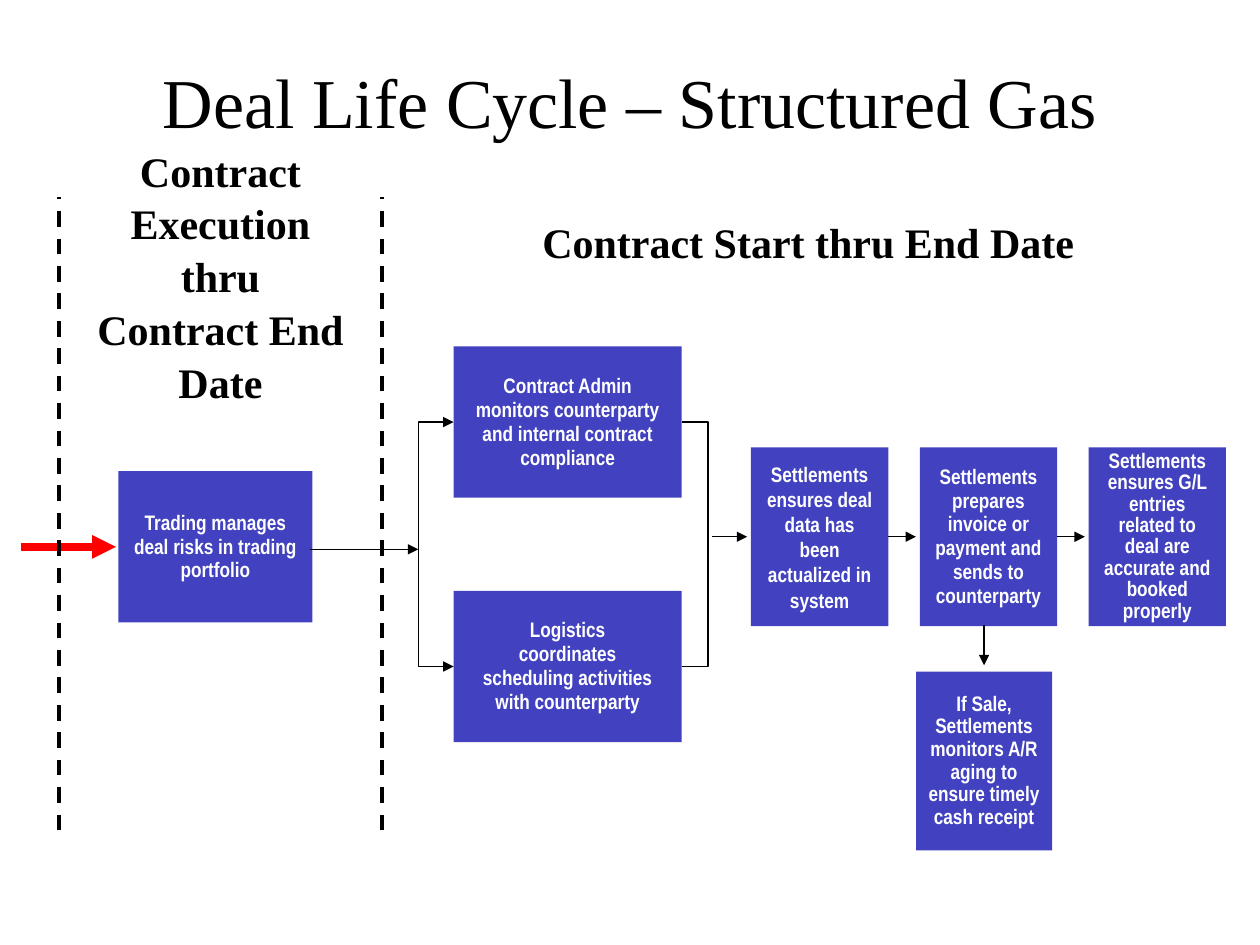
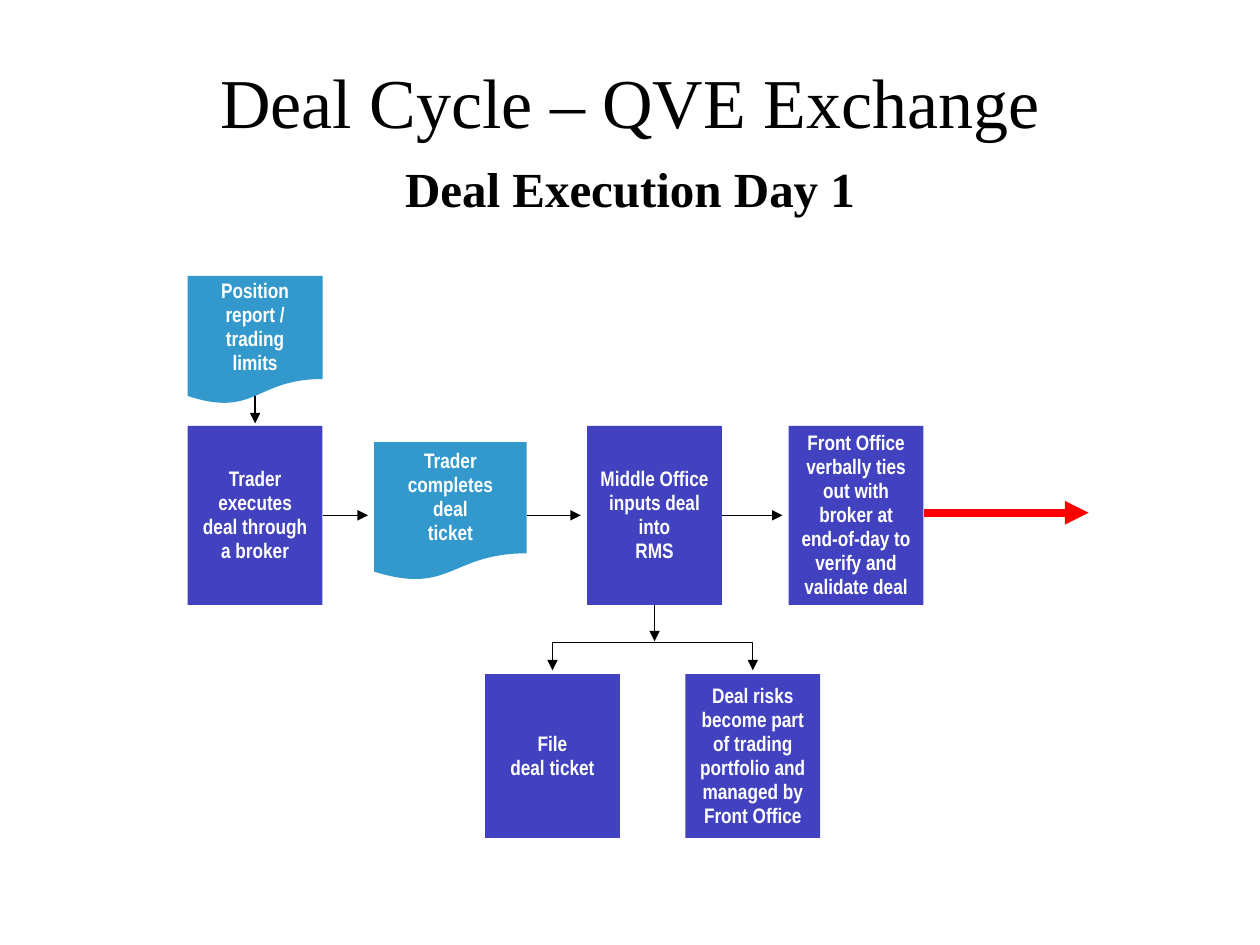
from copy import deepcopy
from dataclasses import dataclass

from lxml import etree
from pptx import Presentation
from pptx.dml.color import RGBColor
from pptx.enum.dml import MSO_LINE
from pptx.enum.shapes import MSO_CONNECTOR, MSO_SHAPE
from pptx.enum.text import MSO_ANCHOR, PP_ALIGN
from pptx.oxml.ns import qn
from pptx.util import Inches, Pt

RECTANGLE = MSO_SHAPE.RECTANGLE
DOCUMENT = MSO_SHAPE.FLOWCHART_DOCUMENT
STRAIGHT = MSO_CONNECTOR.STRAIGHT
DASH = MSO_LINE.DASH
MIDDLE = MSO_ANCHOR.MIDDLE
CENTER = PP_ALIGN.CENTER

SLIDE_WIDTH, SLIDE_HEIGHT = 10, 7.5
COLUMNS, ROWS = 100, 75
BLANK_LAYOUT = 6


@dataclass(frozen=True)
class Theme:
    ink: str = "000000"
    paper: str = "FFFFFF"
    process: str = "4242C0"
    document: str = "3399CC"
    flow: str = "FF0000"
    heading_font: str = "Times New Roman"
    step_font: str = "Arial Narrow"
    title_size: float = 40
    subtitle_size: float = 28
    phase_size: float = 24
    step_size: float = 12
    thin: float = 0.75
    divider: float = 2.25
    thick: float = 4.5
    text_inset: float = 0.09
    narrow_inset: float = 0.12


THEME = Theme()


@dataclass(frozen=True)
class Box:
    """A rectangle measured in grid columns and rows."""
    left: float
    top: float
    width: float
    height: float

    @property
    def right(self):
        return self.left + self.width

    @property
    def bottom(self):
        return self.top + self.height

    @property
    def center(self):
        return self.left + self.width / 2

    @property
    def middle(self):
        return self.top + self.height / 2

    def inner(self, left, top, width, height):
        return Box(self.left + left, self.top + top, width, height)

    def point(self, x, y):
        return self.left + x, self.top + y

    def emu(self):
        return (across(self.left), down(self.top),
                across(self.width), down(self.height))


def across(columns):
    return Inches(columns * SLIDE_WIDTH / COLUMNS)


def down(rows):
    return Inches(rows * SLIDE_HEIGHT / ROWS)


def color(value):
    return RGBColor.from_string(value)


def write(shape, text, font, size, ink, bold=True, spacing=1.0, inset=0.1):
    """Put one centred paragraph in the shape; newlines become line breaks."""
    frame = shape.text_frame
    frame.word_wrap = True
    frame.vertical_anchor = MIDDLE
    frame.margin_left = frame.margin_right = Inches(inset)
    frame.margin_top = frame.margin_bottom = 0
    paragraph = frame.paragraphs[0]
    paragraph.text = text
    paragraph.alignment = CENTER
    paragraph.line_spacing = spacing
    for run in paragraph.runs:
        run.font.name = font
        run.font.size = Pt(size)
        run.font.bold = bold
        run.font.color.rgb = color(ink)
    run_properties = paragraph.runs[0]._r.find(qn("a:rPr"))
    for line_break in paragraph._p.findall(qn("a:br")):
        line_break.insert(0, deepcopy(run_properties))


def heading(slide, box, text, size, bold=True, spacing=1.0):
    write(slide.shapes.add_textbox(*box.emu()), text, THEME.heading_font,
          size, THEME.ink, bold, spacing)


def step(slide, box, text, kind=RECTANGLE, spacing=0.95, inset=THEME.text_inset):
    shape = slide.shapes.add_shape(kind, *box.emu())
    shape.shadow.inherit = False
    shape.fill.solid()
    fill = THEME.document if kind == DOCUMENT else THEME.process
    shape.fill.fore_color.rgb = color(fill)
    shape.line.fill.background()
    write(shape, text, THEME.step_font, THEME.step_size, THEME.paper,
          spacing=spacing, inset=inset)


def style_line(shape, ink, width, ends=()):
    shape.line.color.rgb = color(ink)
    shape.line.width = Pt(width)
    outline = shape.line._get_or_add_ln()
    for end in ends:
        etree.SubElement(outline, qn(f"a:{end}"), type="triangle")


def straight(slide, start, end, ink=THEME.ink, width=THEME.thin, ends=("tailEnd",)):
    connector = slide.shapes.add_connector(
        STRAIGHT, across(start[0]), down(start[1]), across(end[0]), down(end[1]))
    style_line(connector, ink, width, ends)
    etree.SubElement(connector._element.spPr, qn("a:effectLst"))
    return connector


def flow_arrow(slide, start, end):
    straight(slide, start, end, THEME.flow, THEME.thick)


def bracket(slide, points, ends=()):
    (first, *others) = [(across(x), down(y)) for x, y in points]
    builder = slide.shapes.build_freeform(*first)
    builder.add_line_segments(others, close=False)
    shape = builder.convert_to_shape()
    shape.shadow.inherit = False
    shape.fill.background()
    style_line(shape, THEME.ink, THEME.thin, ends)


def new_slide(presentation, title):
    slide = presentation.slides.add_slide(presentation.slide_layouts[BLANK_LAYOUT])
    heading(slide, Box(7.5, 1.7, 85, 12.5), title, THEME.title_size, bold=False)
    return slide


def execution_phase(slide, region):
    heading(slide, region.inner(0, 0, region.width, 20.2),
            "Contract Execution\nthru\nContract End Date", THEME.phase_size, spacing=1.05)
    trading = region.inner(4.7, 25.7, 15.4, 12)
    step(slide, trading, "Trading manages deal risks in trading portfolio",
         inset=THEME.narrow_inset)
    flow_arrow(slide, (region.left - 3, trading.middle),
               (trading.left - 0.2, trading.middle))
    for x in (region.left, region.right):
        divider = straight(slide, (x, region.bottom), (x, region.top + 3.9),
                           width=THEME.divider, ends=())
        divider.line.dash_style = DASH


def delivery_phase(slide, region):
    heading(slide, region.inner(0, 0, region.width, 5.6),
            "Contract Start thru End Date", THEME.phase_size, spacing=1.05)

    admin = region.inner(6, 11.2, 18.1, 12)
    logistics = region.inner(6, 30.6, 18.1, 12)
    step(slide, admin, "Contract Admin monitors counterparty and internal contract compliance",
         inset=THEME.narrow_inset)
    step(slide, logistics,
         "Logistics\ncoordinates\nscheduling activities with counterparty",
         inset=THEME.narrow_inset)
    straight(slide, region.point(-5.4, 27.3), region.point(3.2, 27.3))
    for edge, offset, ends in ((admin.left, -2.8, ("headEnd", "tailEnd")),
                               (admin.right, 2.1, ())):
        bracket(slide, [(edge, logistics.middle), (edge + offset, logistics.middle),
                        (edge + offset, admin.middle), (edge, admin.middle)], ends)

    settlements = (
        ("Settlements ensures deal data has been actualized in system",
         1.0, THEME.narrow_inset),
        ("Settlements prepares invoice or payment and sends to counterparty",
         0.95, THEME.text_inset),
        ("Settlements ensures G/L entries related to deal are accurate and booked properly",
         0.85, THEME.narrow_inset),
    )
    arrow_start = admin.right + 2.4
    for index, (text, spacing, inset) in enumerate(settlements):
        box = region.inner(29.6 + 13.4 * index, 19.2, 10.9, 14.2)
        straight(slide, (arrow_start, box.middle), (box.left - 0.3, box.middle))
        step(slide, box, text, spacing=spacing, inset=inset)
        arrow_start = box.right

    sale = region.inner(42.7, 37, 10.8, 14.2)
    straight(slide, (sale.center, sale.top - 3.7), (sale.center, sale.top - 0.5))
    step(slide, sale, "If Sale, Settlements monitors A/R aging to ensure timely cash receipt",
         spacing=0.9, inset=0.08)


def exchange_flow(slide, region):
    limits = region.inner(0, 0, 10.7, 10.2)
    trader, middle_office, front_office = (
        region.inner(left, 11.9, 10.7, 14.2) for left in (0, 31.7, 47.7))
    ticket = region.inner(14.8, 13.2, 12.1, 11)
    row = (trader, ticket, middle_office, front_office)

    straight(slide, (limits.center, limits.bottom - 1.6), (trader.center, trader.top - 0.2))
    for source, target in zip(row, row[1:]):
        straight(slide, (source.right, trader.middle), (target.left - 0.5, trader.middle))
    flow_arrow(slide, (front_office.right, trader.middle - 0.2),
               (region.right, trader.middle - 0.2))

    step(slide, limits, "Position report / trading limits", DOCUMENT,
         inset=THEME.narrow_inset)
    step(slide, trader, "Trader\nexecutes\ndeal through\na broker")
    step(slide, ticket, "Trader\ncompletes\ndeal\nticket", DOCUMENT)
    step(slide, middle_office, "Middle Office inputs deal into\nRMS")
    step(slide, front_office, "Front Office verbally ties out with broker at "
                              "end-of-day to verify and validate deal")

    filing, risks = (region.inner(left, 31.6, 10.7, 13) for left in (23.6, 39.5))
    step(slide, filing, "File\ndeal ticket")
    step(slide, risks, "Deal risks become part of trading portfolio and "
                       "managed by Front Office")
    fork_top, fork_tip = filing.top - 2.5, filing.top - 0.3
    straight(slide, (middle_office.center, middle_office.bottom),
             (middle_office.center, fork_top - 0.1))
    bracket(slide, [(filing.center, fork_tip), (filing.center, fork_top),
                    (risks.center, fork_top), (risks.center, fork_tip)],
            ("headEnd", "tailEnd"))


def main():
    presentation = Presentation()
    presentation.slide_width = Inches(SLIDE_WIDTH)
    presentation.slide_height = Inches(SLIDE_HEIGHT)

    slide = new_slide(presentation, "Deal Life Cycle – Structured Gas")
    execution_phase(slide, Box(4.7, 11.7, 25.6, 54.2))
    delivery_phase(slide, Box(30, 16.3, 68.3, 51.2))

    slide = new_slide(presentation, "Deal Cycle – QVE Exchange")
    heading(slide, Box(7.9, 11.4, 84.2, 7), "Deal Execution Day 1", THEME.subtitle_size)
    exchange_flow(slide, Box(14.9, 21.9, 71.5, 44.6))

    presentation.save("out.pptx")


if __name__ == "__main__":
    main()
